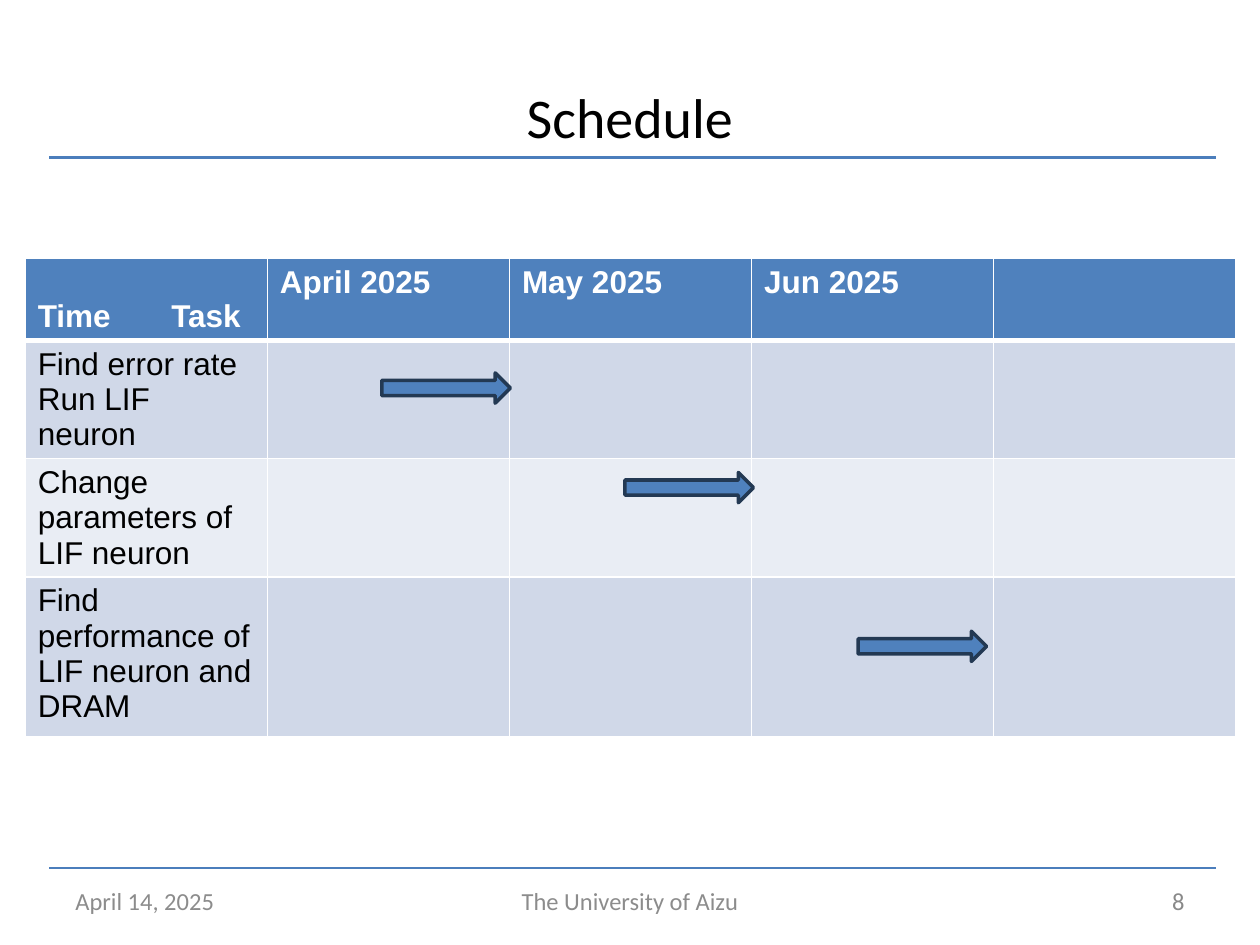
from lxml.etree import SubElement
from pptx import Presentation
from pptx.dml.color import RGBColor
from pptx.enum.shapes import MSO_CONNECTOR, MSO_SHAPE
from pptx.enum.text import MSO_ANCHOR, PP_ALIGN
from pptx.oxml import parse_xml
from pptx.oxml.ns import nsdecls, qn
from pptx.util import Inches, Pt

HUES = {
    "head": "4F81BD", "odd": "D0D8E8", "even": "E9EDF4",
    "rule": "4B7EBC", "edge": "233953", "grid": "FFFFFF",
    "white": "FFFFFF", "black": "000000", "gray": "8C8C8C", "page": "898989",
}
HEADS = ["Time\tTask", "April 2025", "May 2025", "Jun 2025", ""]
TASKS = [
    ["Find error rate", "Run LIF neuron"],
    ["Change parameters of LIF neuron"],
    ["Find performance of LIF neuron and DRAM"],
]
ROWS = [0.65, 0.94, 0.94, 1.27]


def hue(name):
    return RGBColor.from_string(HUES[name])


def add_run(para, text, size, font, color, bold=False):
    run = para.add_run()
    run.text = text
    run.font.size = Pt(size)
    run.font.name = font
    run.font.bold = bold
    run.font.color.rgb = hue(color)


def add_rule(slide, left, top, width, weight):
    line = slide.shapes.add_connector(
        MSO_CONNECTOR.STRAIGHT, Inches(left), Inches(top),
        Inches(left + width), Inches(top))
    line.line.color.rgb = hue("rule")
    line.line.width = Pt(weight)
    SubElement(line._element.spPr, qn("a:effectLst"))


def add_title(slide, left, top, width, height):
    title = slide.shapes.title
    title.left, title.top = Inches(left), Inches(top)
    title.width, title.height = Inches(width), Inches(height)
    frame = title.text_frame
    frame.vertical_anchor = MSO_ANCHOR.MIDDLE
    para = frame.paragraphs[0]
    para.alignment = PP_ALIGN.CENTER
    add_run(para, "Schedule", 32, "Calibri", "black")


def set_edges(cell, base):
    """Draw the four cell borders; base is the width of the lower one."""
    props = cell._tc.get_or_add_tcPr()
    for spot, (side, weight) in enumerate(
            [("L", 1), ("R", 1), ("T", 1), ("B", base)]):
        props.insert(spot, parse_xml(
            f'<a:ln{side} {nsdecls("a")} w="{Pt(weight)}"><a:solidFill>'
            f'<a:srgbClr val="{HUES["grid"]}"/></a:solidFill></a:ln{side}>'))


def fill_cell(cell, lines, fill, color, bold):
    cell.fill.solid()
    cell.fill.fore_color.rgb = hue(fill)
    set_edges(cell, 3 if bold else 1)
    frame = cell.text_frame
    for num, text in enumerate(lines):
        para = frame.add_paragraph() if num else frame.paragraphs[0]
        if text:
            add_run(para, text, 18, "Arial", color, bold)


def add_plan(slide, left, top, width):
    count = len(HEADS)
    table = slide.shapes.add_table(
        len(ROWS), count, Inches(left), Inches(top),
        Inches(width), Inches(sum(ROWS))).table
    for col in table.columns:
        col.width = Inches(width / count)
    for row, height in zip(table.rows, ROWS):
        row.height = Inches(height)

    # Header row, with a tab between the two axis names
    for col, text in enumerate(HEADS):
        fill_cell(table.cell(0, col), [text], "head", "white", True)
    corner = table.cell(0, 0)
    corner.vertical_anchor = MSO_ANCHOR.BOTTOM
    props = corner.text_frame.paragraphs[0]._p.get_or_add_pPr()
    stops = SubElement(props, qn("a:tabLst"))
    SubElement(stops, qn("a:tab"), pos=str(Inches(1.06)), algn="l")

    # Task rows
    for row, lines in enumerate(TASKS, 1):
        fill = "odd" if row % 2 else "even"
        for col in range(count):
            text = [""] if col else lines
            fill_cell(table.cell(row, col), text, fill, "black", False)


def add_arrow(slide, left, top, width=1.02, height=0.24):
    arrow = slide.shapes.add_shape(
        MSO_SHAPE.RIGHT_ARROW, Inches(left), Inches(top),
        Inches(width), Inches(height))
    arrow.shadow.inherit = False
    arrow.fill.solid()
    arrow.fill.fore_color.rgb = hue("head")
    arrow.line.color.rgb = hue("edge")
    arrow.line.width = Pt(2)


def add_foot(slide, left, top, width, height):
    side, mid = 2.33, 3.17
    parts = [
        ("April 14, 2025", left, side, PP_ALIGN.LEFT, "gray"),
        ("The University of Aizu", left + (width - mid) / 2, mid,
         PP_ALIGN.CENTER, "gray"),
        ("8", left + width - side, side, PP_ALIGN.RIGHT, "page"),
    ]
    for text, start, span, align, color in parts:
        box = slide.shapes.add_textbox(
            Inches(start), Inches(top), Inches(span), Inches(height))
        frame = box.text_frame
        frame.word_wrap = True
        frame.vertical_anchor = MSO_ANCHOR.MIDDLE
        para = frame.paragraphs[0]
        para.alignment = align
        add_run(para, text, 14, "Calibri", color)


def main():
    deck = Presentation()
    deck.slide_width, deck.slide_height = Inches(10), Inches(7.5)
    slide = deck.slides.add_slide(deck.slide_layouts[5])
    # Rules above and below the body
    add_rule(slide, 0.39, 6.89, 9.26, 1.5)
    add_rule(slide, 0.39, 1.25, 9.26, 2.25)
    add_title(slide, 0.5, 0.3, 9, 1.25)
    add_plan(slide, 0.2, 2.05, 9.61)
    add_foot(slide, 0.5, 6.95, 9, 0.4)
    # One arrow for each task
    for left, top in [(3.03, 2.96), (4.96, 3.75), (6.81, 5.01)]:
        add_arrow(slide, left, top)
    deck.save("out.pptx")


if __name__ == "__main__":
    main()
